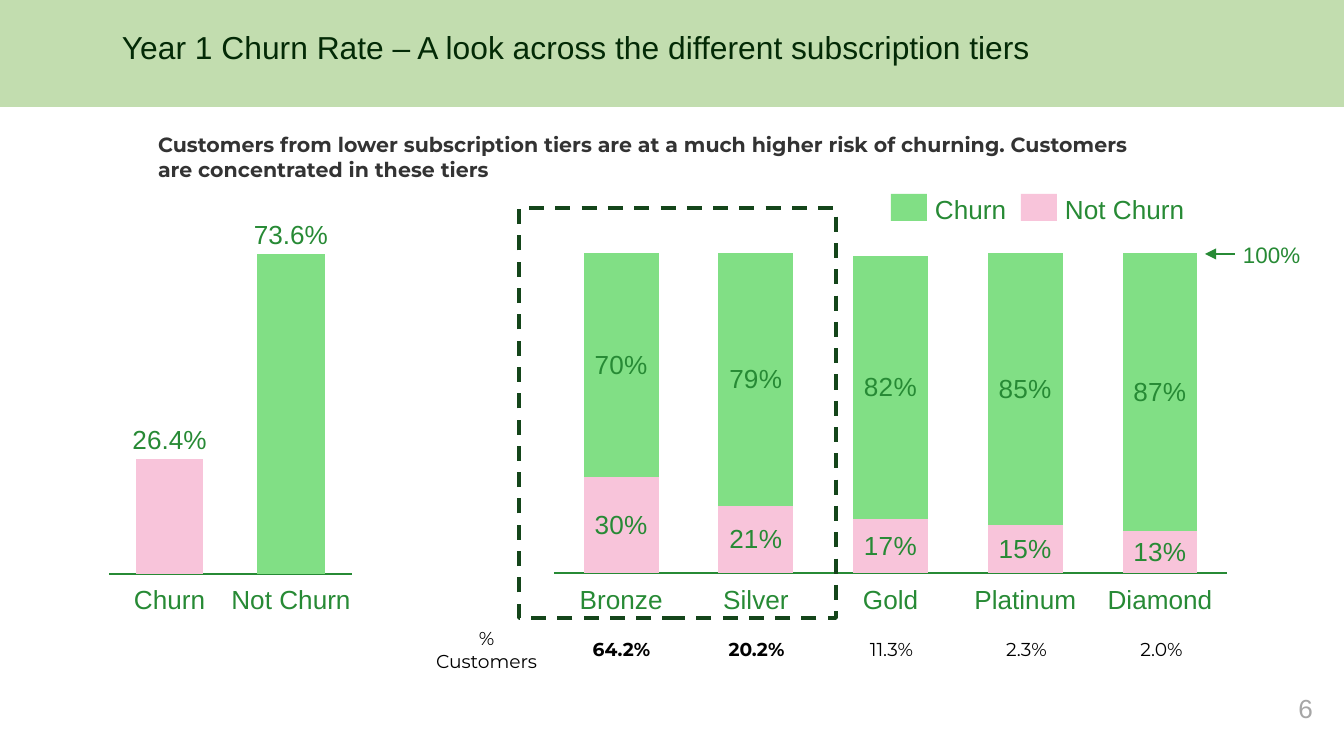
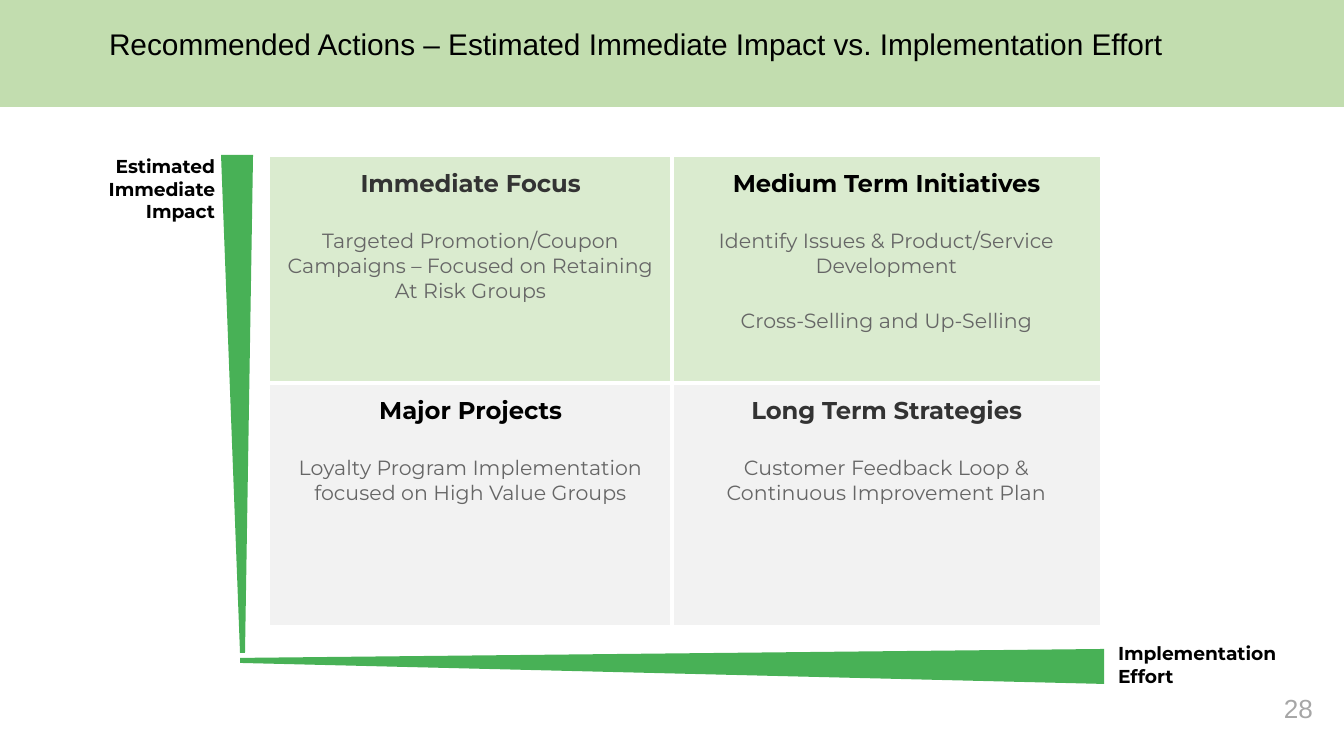
from lxml import etree
from pptx import Presentation
from pptx import util as u
from pptx.chart import data
from pptx.dml import color
from pptx.enum import chart as ch
from pptx.enum import dml, shapes, text
from pptx.oxml import ns

ARIAL, MONT = "Arial", "Montserrat"
BAND, PAGE, WHITE, BLACK = "C2DDAF", "A6A6A6", "FFFFFF", "000000"
INK, FRAME, WEDGE = "278A35", "14451A", "48B156"
GREEN, PINK = "81DF85", "F8C4DA"
DARK, GREY = "333333", "666666"
LEFT, CENTER, RIGHT = text.PP_ALIGN.LEFT, text.PP_ALIGN.CENTER, text.PP_ALIGN.RIGHT
TOP, MIDDLE, BOTTOM = text.MSO_ANCHOR.TOP, text.MSO_ANCHOR.MIDDLE, text.MSO_ANCHOR.BOTTOM

CHURN_TITLE = "Year 1 Churn Rate – A look across the different subscription tiers"
HEADLINE = ("Customers from lower subscription tiers are at a much higher risk of churning. "
            "Customers are concentrated in these tiers")
OVERALL = [("Churn", 80, 36, "26.4%"), ("Not Churn", 128, 100, "73.6%")]
TIERS = [
    ("Bronze", 92, 30, 70, "64.2%"),
    ("Silver", 74, 21, 79, "20.2%"),
    ("Gold", 64, 17, 82, "11.3%"),
    ("Platinum", 110, 15, 85, "2.3%"),
    ("Diamond", 114, 13, 87, "2.0%"),
]
LEGEND = [("Churn", GREEN, 891, 82), ("Not Churn", PINK, 1021, 132)]
OVERALL_BOX, OVERALL_PLOT = (97, 242, 267, 344), (0.045, 0.035, 0.909, 0.93)
TIER_BOX, TIER_PLOT = (542, 208, 698, 410), (0.017, 0.11, 0.965, 0.781)

ACTIONS_TITLE = "Recommended Actions – Estimated Immediate Impact vs. Implementation Effort"
MATRIX = [
    [("Immediate Focus", DARK,
      ["Targeted Promotion/Coupon Campaigns – Focused on Retaining At Risk Groups"]),
     ("Medium Term Initiatives", BLACK,
      ["Identify Issues & Product/Service Development", "Cross-Selling and Up-Selling"])],
    [("Major Projects", BLACK,
      ["Loyalty Program Implementation focused on High Value Groups"]),
     ("Long Term Strategies", DARK,
      ["Customer Feedback Loop & Continuous Improvement Plan"])],
]
MATRIX_FILLS = ["DAEBCF", "F2F2F2"]
MATRIX_COLS, MATRIX_ROWS = [403, 429], [227, 243]
WEDGES = [
    [(253, 155), (221, 155), (240, 653), (245, 653)],
    [(1104, 649), (1104, 684), (240, 663), (240, 658)],
]
AXIS_NAMES = [
    ("Estimated Immediate Impact", (28, 142, 200, 59), RIGHT),
    ("Implementation Effort", (1105, 629, 192, 59), LEFT),
]


def px(n):
    return u.Emu(round(n * 914400 / 134.4))


def rgb(value):
    return color.RGBColor.from_string(value)


def style(font, size, ink, name, bold=False):
    font.size, font.name, font.bold = u.Pt(size), name, bold
    font.color.rgb = rgb(ink)


def write(p, words, size=14, ink=INK, font=ARIAL, bold=False, align=LEFT, before=0, spacing=None):
    p.alignment = align
    if before:
        p.space_before = u.Pt(before)
    if spacing:
        p.line_spacing = spacing
    r = p.add_run()
    r.text = words
    style(r.font, size, ink, font, bold)


def label(s, words, box, pad=(0, 0), wrap=False, anchor=TOP, **fmt):
    tf = s.shapes.add_textbox(*map(px, box)).text_frame
    tf.word_wrap, tf.vertical_anchor = wrap, anchor
    tf.margin_left = tf.margin_right = px(pad[0])
    tf.margin_top = tf.margin_bottom = px(pad[1])
    write(tf.paragraphs[0], words, **fmt)


def rect(s, box, fill=None):
    sp = s.shapes.add_shape(shapes.MSO_SHAPE.RECTANGLE, *map(px, box))
    sp.shadow.inherit = False
    sp.line.fill.background()
    if fill:
        sp.fill.solid()
        sp.fill.fore_color.rgb = rgb(fill)
    else:
        sp.fill.background()
    return sp


def new_slide(prs, title, box, size, ink, number):
    s = prs.slides.add_slide(prs.slide_layouts[6])
    rect(s, (0, 0, 1344, 107), BAND)
    label(s, title, box, pad=(13, 13), wrap=True, size=size, ink=ink)
    label(s, number, (1245, 685, 81, 58), pad=(13, 7), wrap=True, ink=PAGE, align=RIGHT)
    return s


def centers(box, plot, count):
    left, pitch = box[0] + plot[0] * box[2], plot[2] * box[2] / count
    return [left + pitch * (i + 0.5) for i in range(count)]


def columns(s, box, plot, series, labels=False):
    cd = data.CategoryChartData()
    cd.categories = [str(i + 1) for i in range(len(series[0][0]))]
    for n, (values, _) in enumerate(series, 1):
        cd.add_series(f"Series {n}", values)
    chart = s.shapes.add_chart(ch.XL_CHART_TYPE.COLUMN_STACKED, *map(px, box), cd).chart
    chart.has_legend = chart.has_title = False
    style(chart.font, 10, INK, ARIAL)

    cat, val = chart.category_axis, chart.value_axis
    cat.tick_label_position = ch.XL_TICK_LABEL_POSITION.NONE
    cat.major_tick_mark = cat.minor_tick_mark = ch.XL_TICK_MARK.NONE
    cat.format.line.color.rgb = rgb(INK)
    cat.format.line.width = u.Pt(0.75)
    val.minimum_scale, val.maximum_scale = 0, 100
    val.has_major_gridlines = val.visible = False

    bars = chart.plots[0]
    bars.gap_width, bars.overlap, bars.vary_by_categories = 80, 100, False
    for ser, (_, fill) in zip(bars.series, series):
        ser.format.fill.solid()
        ser.format.fill.fore_color.rgb = rgb(fill)
        if labels:
            dl = ser.data_labels
            dl.show_value = True
            dl.number_format, dl.number_format_is_linked = '0"%"', False
            dl.position = ch.XL_LABEL_POSITION.CENTER
            style(dl.font, 14, INK, ARIAL)

    area = chart._chartSpace.chart.plotArea
    for old in area.findall(ns.qn("c:layout")):
        area.remove(old)
    layout = etree.Element(ns.qn("c:layout"))
    manual = etree.SubElement(layout, ns.qn("c:manualLayout"))
    parts = [("layoutTarget", "inner"), ("xMode", "edge"), ("yMode", "edge"), *zip("xywh", plot)]
    for tag, value in parts:
        etree.SubElement(manual, ns.qn(f"c:{tag}")).set("val", str(value))
    area.insert(0, layout)
    return bars


def grid(s, left, top, widths, heights):
    shape = s.shapes.add_table(len(heights), len(widths), px(left), px(top),
                               px(sum(widths)), px(sum(heights)))
    t = shape.table
    t.first_row = t.horz_banding = False
    for col, w in zip(t.columns, widths):
        col.width = px(w)
    for row, h in zip(t.rows, heights):
        row.height = px(h)
    return t


def border(cell, widths):
    tc_pr = cell._tc.get_or_add_tcPr()
    for i, (side, width) in enumerate(zip("LRTB", widths)):
        ln = etree.Element(ns.qn(f"a:ln{side}"), w=str(u.Pt(width)))
        fill = etree.SubElement(ln, ns.qn("a:solidFill"))
        etree.SubElement(fill, ns.qn("a:srgbClr"), val=WHITE)
        tc_pr.insert(i, ln)


def arrow(s, x1, x2, y):
    c = s.shapes.add_connector(shapes.MSO_CONNECTOR.STRAIGHT, px(x1), px(y), px(x2), px(y))
    c.line.color.rgb, c.line.width = rgb(INK), u.Pt(0.75)
    sp_pr = c._element.spPr
    etree.SubElement(sp_pr.find(ns.qn("a:ln")), ns.qn("a:tailEnd"), type="triangle")
    etree.SubElement(sp_pr, ns.qn("a:effectLst"))


def churn_slide(prs):
    s = new_slide(prs, CHURN_TITLE, (109, 15, 1144, 69), 17, "032A06", "6")
    bars = columns(s, OVERALL_BOX, OVERALL_PLOT, [([row[2] for row in OVERALL], GREEN)])
    churned = bars.series[0].points[0].format.fill
    churned.solid()
    churned.fore_color.rgb = rgb(PINK)
    for (name, w, height, share), x in zip(OVERALL, centers(OVERALL_BOX, OVERALL_PLOT, 2)):
        label(s, name, (x - w / 2, 583, w, 31), align=CENTER)
        label(s, share, (x - 48, 542 - 3.2 * height, 96, 28), pad=(4, 0),
              anchor=BOTTOM, align=CENTER, spacing=0.9)

    columns(s, TIER_BOX, TIER_PLOT,
            [([row[2] for row in TIERS], PINK), ([row[3] for row in TIERS], GREEN)], labels=True)
    for (name, w, *_), x in zip(TIERS, centers(TIER_BOX, TIER_PLOT, len(TIERS))):
        label(s, name, (x - w / 2, 583, w, 31), align=CENTER)
    arrow(s, 1235, 1205, 254)
    label(s, "100%", (1243, 241, 72, 27), anchor=MIDDLE, size=12)
    for name, fill, x, w in LEGEND:
        rect(s, (x, 194, 36, 27), fill)
        label(s, name, (x + 44, 194, w, 31), anchor=MIDDLE)
    label(s, HEADLINE, (145, 119, 1000, 56), pad=(13, 13), wrap=True,
          size=11, ink=DARK, font=MONT, bold=True)

    frame = rect(s, (519, 208, 317, 410))
    frame.line.color.rgb, frame.line.width = rgb(FRAME), u.Pt(2)
    frame.line.dash_style = dml.MSO_LINE.DASH

    shares = ["% Customers"] + [row[4] for row in TIERS]
    t = grid(s, 419, 621, [135] * len(shares), [55])
    for i, share in enumerate(shares):
        cell = t.cell(0, i)
        cell.fill.background()
        cell.vertical_anchor = MIDDLE
        write(cell.text_frame.paragraphs[0], share, size=10, ink=BLACK, font=MONT,
              bold=i in (1, 2), align=CENTER)


def actions_slide(prs):
    s = new_slide(prs, ACTIONS_TITLE, (96, 13, 1185, 87), 16, BLACK, "28")
    t = grid(s, 269, 156, MATRIX_COLS, MATRIX_ROWS)
    for i, row in enumerate(MATRIX):
        for j, (head, ink, actions) in enumerate(row):
            cell = t.cell(i, j)
            cell.fill.solid()
            cell.fill.fore_color.rgb = rgb(MATRIX_FILLS[i])
            cell.margin_left = cell.margin_right = cell.margin_top = cell.margin_bottom = px(13)
            inner = (j == 1, j == 0, i == 1, i == 0)
            border(cell, [3 if edge else 1.5 for edge in inner])
            tf = cell.text_frame
            write(tf.paragraphs[0], head, size=13, ink=ink, font=MONT, bold=True, align=CENTER)
            for action in actions:
                write(tf.add_paragraph(), action, size=11, ink=GREY, font=MONT,
                      align=CENTER, before=16)
    for name, box, align in AXIS_NAMES:
        label(s, name, box, pad=(13, 13), wrap=True, size=10, ink=BLACK, font=MONT,
              bold=True, align=align)
    for points in WEDGES:
        start, *rest = [(px(x), px(y)) for x, y in points]
        outline = s.shapes.build_freeform(*start)
        outline.add_line_segments(rest, close=True)
        sp = outline.convert_to_shape()
        sp.shadow.inherit = False
        sp.fill.solid()
        sp.fill.fore_color.rgb = rgb(WEDGE)
        sp.line.fill.background()


def main():
    prs = Presentation()
    prs.slide_width, prs.slide_height = px(1344), px(756)
    churn_slide(prs)
    actions_slide(prs)
    prs.save("out.pptx")


if __name__ == "__main__":
    main()
